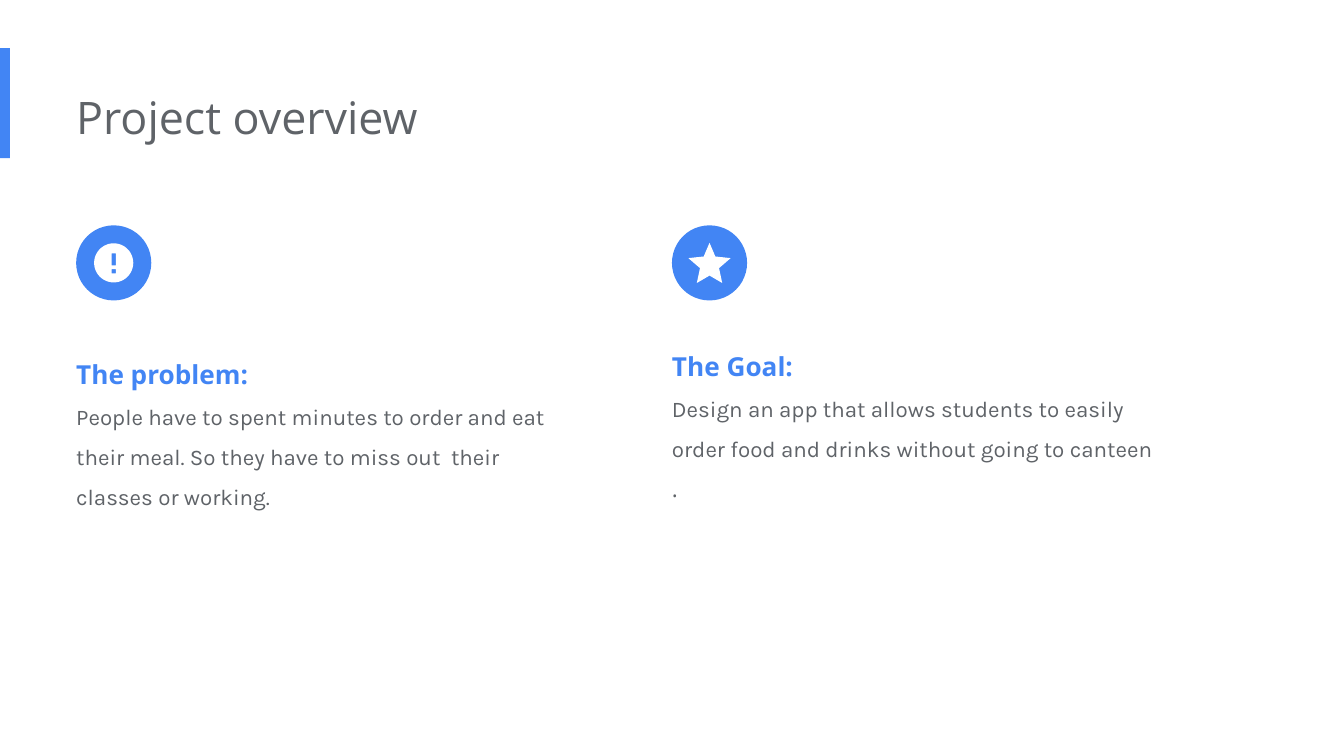
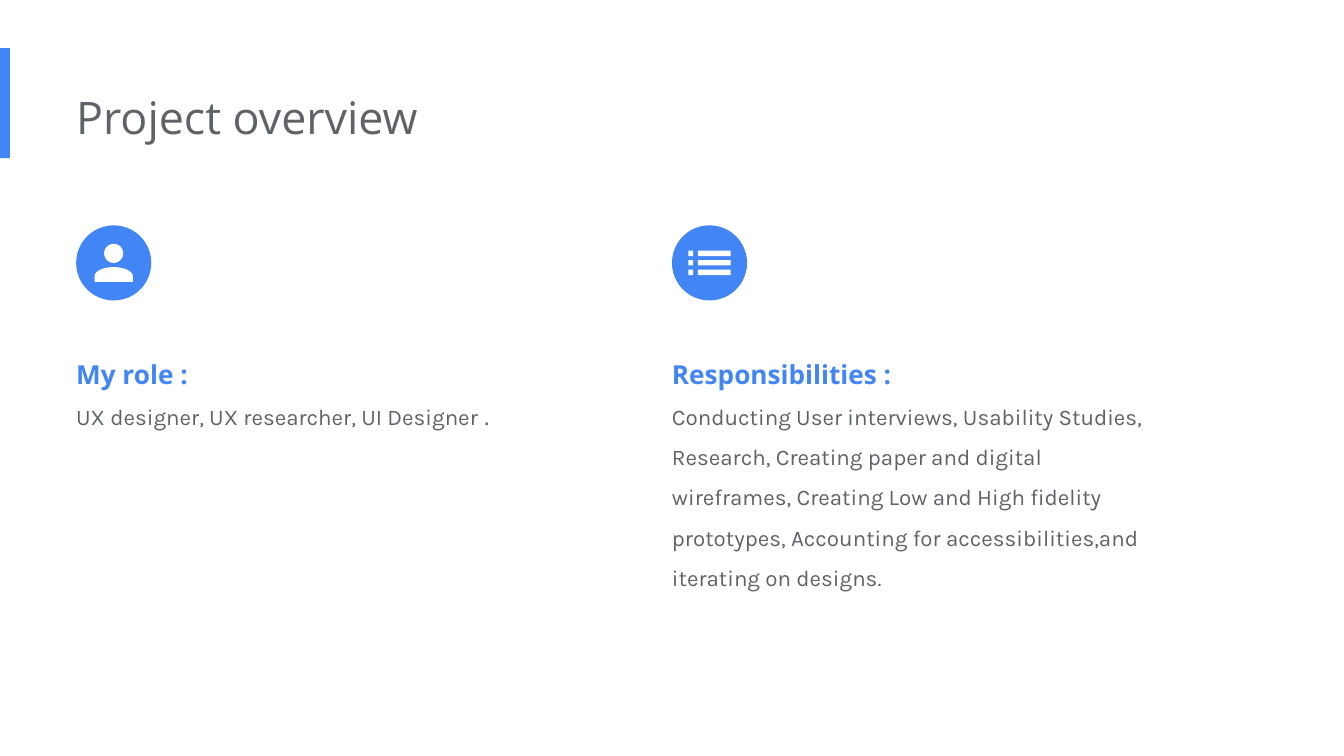
import math
import pptx
import pptx.dml.color
import pptx.enum.shapes
import pptx.enum.text
import pptx.util

Cm = pptx.util.Cm

SLIDES = [
    {
        "title": "Project overview",
        "columns": [
            {
                "icon": "alert",
                "top": 6.22,
                "height": 3.71,
                "heading": "The problem:",
                "body": [[("People have to spent minutes to order and eat their meal. "
                           "So they have to miss out  their classes or working.", "body")]],
            },
            {
                "icon": "star",
                "top": 6.07,
                "height": 3.71,
                "heading": "The Goal:",
                "body": [[("Design an app that allows students to easily order food "
                           "and drinks without going to canteen", "body")],
                         [(".", "mark")]],
            },
        ],
    },
    {
        "title": "Project overview",
        "columns": [
            {
                "icon": "person",
                "top": 6.22,
                "height": 2.18,
                "heading": "My role :",
                "body": [[("UX designer, UX researcher, UI Designer ", "body"), (".", "mark")]],
            },
            {
                "icon": "list",
                "top": 6.22,
                "height": 5.26,
                "heading": "Responsibilities :",
                "body": [[("Conducting User interviews, Usability Studies,  Research, "
                           "Creating paper and digital  wireframes, Creating Low and High "
                           "ﬁdelity  prototypes, Accounting for accessibilities,and  "
                           "iterating on designs.", "body")]],
            },
        ],
    },
]

THEME = {
    "accent": "4285F4",
    "icon": "FFFFFF",
    "text": {
        "title": {"name": "Open Sans", "size": 24, "bold": False, "color": "5F6368"},
        "heading": {"name": "Open Sans", "size": 14, "bold": True, "color": "4285F4"},
        "body": {"name": "Karla", "size": 12, "bold": False, "color": "5F6368"},
        "mark": {"name": "Open Sans", "size": 12, "bold": False, "color": "5F6368"},
    },
}

SLIDE_WIDTH, SLIDE_HEIGHT = 25.4, 14.29
BAR = (0, 0.91, 0.19, 2.08)
TITLE = (1.44, 1.44, 17.1, 1.55)
COLUMN_LEFTS = (1.44, 12.7)
COLUMN_WIDTH = 9.58
BADGE_TOP, BADGE_SIZE = 4.26, 1.42


def arc(center_y, radius_x, radius_y, start, end, steps=48):
    angles = [math.radians(start + (end - start) * step / steps) for step in range(steps + 1)]
    return [(radius_x * math.cos(angle), center_y + radius_y * math.sin(angle))
            for angle in angles]


def box(left, top, right, bottom):
    return [(left, top), (right, top), (right, bottom), (left, bottom)]


def star_outline():
    right_side = [(0, -0.38), (0.11, -0.12), (0.4, -0.09), (0.18, 0.1), (0.24, 0.38), (0, 0.24)]
    return right_side + [(-x, y) for x, y in reversed(right_side[1:-1])]


def list_outlines():
    return [box(left, middle - 0.05, right, middle + 0.05)
            for middle in (-0.18, 0, 0.18)
            for left, right in ((-0.4, -0.31), (-0.22, 0.4))]


ICONS = {
    "alert": [arc(0, 0.37, 0.37, 0, 360),
              box(-0.04, -0.18, 0.04, 0.05),
              box(-0.04, 0.12, 0.04, 0.2)],
    "star": [star_outline()],
    "person": [arc(-0.18, 0.18, 0.18, 0, 360),
               arc(0.25, 0.36, 0.17, 180, 360) + [(0.36, 0.36), (-0.36, 0.36)]],
    "list": list_outlines(),
}


def paint(shape, color):
    shape.shadow.inherit = False
    shape.fill.solid()
    shape.fill.fore_color.rgb = pptx.dml.color.RGBColor.from_string(color)
    shape.line.fill.background()


def add_preset(slide, kind, bounds):
    shape = slide.shapes.add_shape(kind, *map(Cm, bounds))
    paint(shape, THEME["accent"])


def add_icon(slide, outlines, center_x, center_y):
    contours = [[(Cm(center_x + x), Cm(center_y + y)) for x, y in outline]
                for outline in outlines]
    builder = slide.shapes.build_freeform(*contours[0][0])
    for index, contour in enumerate(contours):
        if index:
            builder.move_to(*contour[0])
        builder.add_line_segments(contour[1:], close=True)
    paint(builder.convert_to_shape(), THEME["icon"])


def add_text(slide, bounds, paragraphs, line_spacing):
    frame = slide.shapes.add_textbox(*map(Cm, bounds)).text_frame
    settings = {
        "word_wrap": True,
        "auto_size": pptx.enum.text.MSO_AUTO_SIZE.SHAPE_TO_FIT_TEXT,
        "margin_left": 0,
        "margin_top": Cm(0.25),
        "margin_right": Cm(0.25),
        "margin_bottom": Cm(0.25),
    }
    for name, value in settings.items():
        setattr(frame, name, value)
    for index, runs in enumerate(paragraphs):
        paragraph = frame.add_paragraph() if index else frame.paragraphs[0]
        paragraph.line_spacing = line_spacing
        for text, style in runs:
            run = paragraph.add_run()
            run.text = text
            look = THEME["text"][style]
            values = {"name": look["name"], "size": pptx.util.Pt(look["size"]),
                      "bold": look["bold"]}
            for name, value in values.items():
                setattr(run.font, name, value)
            run.font.color.rgb = pptx.dml.color.RGBColor.from_string(look["color"])


def add_column(slide, left, column):
    shape_kinds = pptx.enum.shapes.MSO_SHAPE
    add_preset(slide, shape_kinds.OVAL, (left, BADGE_TOP, BADGE_SIZE, BADGE_SIZE))
    add_icon(slide, ICONS[column["icon"]], left + BADGE_SIZE / 2, BADGE_TOP + BADGE_SIZE / 2)
    add_text(slide, (left, column["top"], COLUMN_WIDTH, column["height"]),
             [[(column["heading"], "heading")]] + column["body"], 1.5)


def main():
    presentation = pptx.Presentation()
    presentation.slide_width = Cm(SLIDE_WIDTH)
    presentation.slide_height = Cm(SLIDE_HEIGHT)
    for content in SLIDES:
        slide = presentation.slides.add_slide(presentation.slide_layouts[6])
        add_preset(slide, pptx.enum.shapes.MSO_SHAPE.RECTANGLE, BAR)
        add_text(slide, TITLE, [[(content["title"], "title")]], 1.0)
        for left, column in zip(COLUMN_LEFTS, content["columns"]):
            add_column(slide, left, column)
    presentation.save("out.pptx")


if __name__ == "__main__":
    main()
